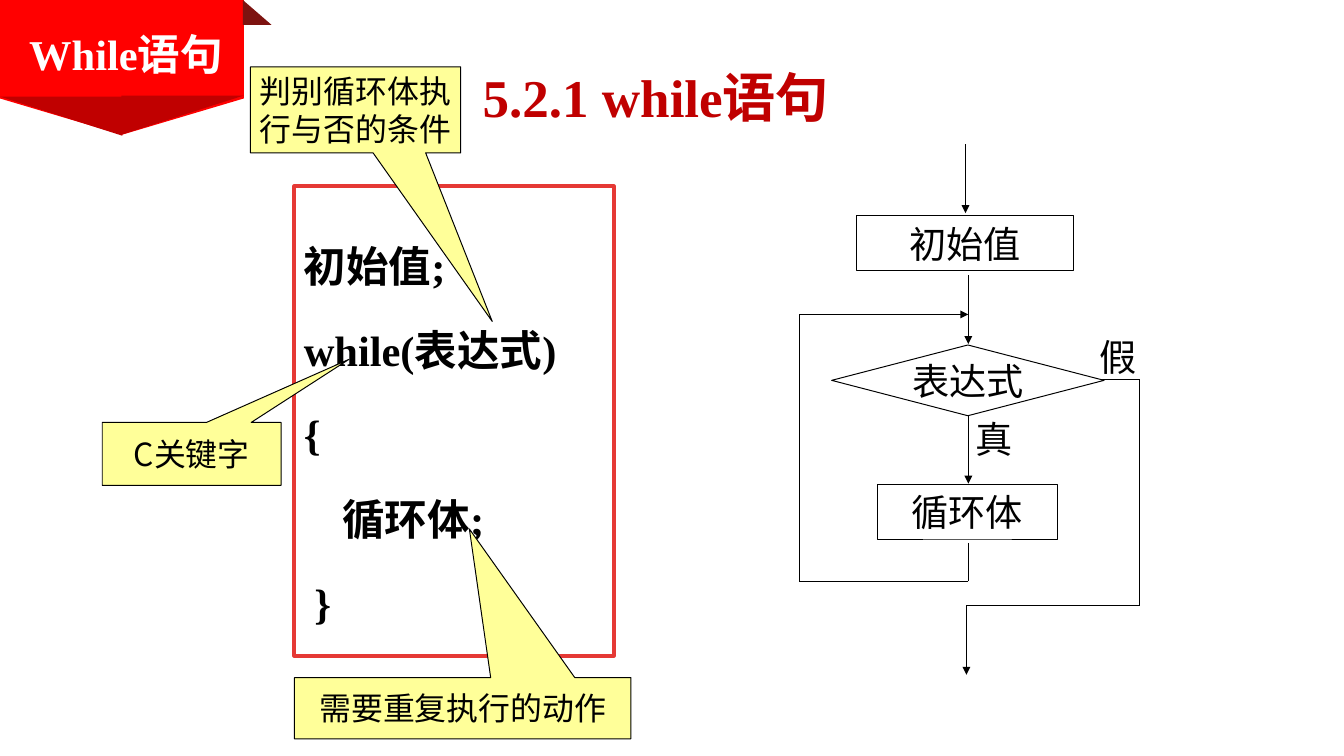
from lxml import etree
from pptx import Presentation
from pptx.dml.color import RGBColor
from pptx.enum import shapes, text
from pptx.oxml import ns
from pptx.util import Inches, Pt

BLACK = RGBColor(0x00, 0x00, 0x00)
WHITE = RGBColor(0xFF, 0xFF, 0xFF)
RED = RGBColor(0xFF, 0x00, 0x00)
DARK_RED = RGBColor(0xC0, 0x00, 0x00)
MAROON = RGBColor(0x7D, 0x13, 0x10)
FRAME_RED = RGBColor(0xE5, 0x39, 0x35)
YELLOW = RGBColor(0xFF, 0xFF, 0x99)
SANS = "Noto Sans CJK SC"
SERIF = "Times New Roman"
PRESET = shapes.MSO_SHAPE
MIDDLE = text.MSO_ANCHOR.MIDDLE
TOP = text.MSO_ANCHOR.TOP
LEFT = text.PP_ALIGN.LEFT
CENTER = text.PP_ALIGN.CENTER


def write(shape, words, size=28, font=SANS, color=BLACK, bold=False, align=CENTER,
          anchor=MIDDLE, wrap=True, insets=(0.1, 0.05, 0.1, 0.05),
          line_spacing=None, space_before=0):
    """Fill a shape with text, one paragraph for each line of words."""
    frame = shape.text_frame
    frame.word_wrap = wrap
    frame.vertical_anchor = anchor
    (frame.margin_left, frame.margin_top,
     frame.margin_right, frame.margin_bottom) = map(Inches, insets)
    for index, line in enumerate(words.split("\n")):
        paragraph = frame.add_paragraph() if index else frame.paragraphs[0]
        paragraph.alignment = align
        if line_spacing:
            paragraph.line_spacing = line_spacing
        if index and space_before:
            paragraph.space_before = Pt(space_before)
        run = paragraph.add_run()
        run.text = line
        run.font.size = Pt(size)
        run.font.bold = bold
        run.font.name = font
        run.font.color.rgb = color
        east_asian = etree.SubElement(run.font._element, ns.qn("a:ea"))
        east_asian.set("typeface", SANS)


class SlideBuilder:
    def __init__(self, slide, line_width=0.75):
        self.shapes = slide.shapes
        self.line_width = line_width

    def shape(self, preset, box, fill=None, line=None, width=None, adjust=(),
              rotation=0, flip_v=False):
        shape = self.shapes.add_shape(preset, *map(Inches, box))
        shape.shadow.inherit = False
        shape.rotation = rotation
        for index, value in enumerate(adjust):
            shape.adjustments[index] = value
        if fill is None:
            shape.fill.background()
        else:
            shape.fill.solid()
            shape.fill.fore_color.rgb = fill
        if line is None:
            shape.line.fill.background()
        else:
            shape.line.color.rgb = line
            shape.line.width = Pt(width or self.line_width)
        if flip_v:
            shape._element.spPr.xfrm.set("flipV", "1")
        return shape

    def label(self, words, box, **style):
        write(self.shapes.add_textbox(*map(Inches, box)), words, **style)

    def step(self, words, box, preset=PRESET.RECTANGLE, **style):
        write(self.shape(preset, box, WHITE, BLACK), words, **style)

    def callout(self, words, box, tip, **style):
        """Draw a note; tip is the pointer's offset from its centre in box sizes."""
        note = self.shape(PRESET.RECTANGULAR_CALLOUT, box, YELLOW, BLACK, adjust=tip)
        write(note, words, size=24, **style)

    def line(self, start, end, arrow=False):
        connector = self.shapes.add_connector(
            shapes.MSO_CONNECTOR.STRAIGHT, *map(Inches, (*start, *end)))
        connector.line.color.rgb = BLACK
        connector.line.width = Pt(self.line_width)
        if arrow:
            head = etree.SubElement(connector.line._get_or_add_ln(), ns.qn("a:tailEnd"))
            head.set("type", "triangle")
        etree.SubElement(connector._element.spPr, ns.qn("a:effectLst"))

    def route(self, *points):
        """Join points with straight lines, the last one ending in an arrowhead."""
        for index, (start, end) in enumerate(zip(points, points[1:]), 2):
            self.line(start, end, arrow=index == len(points))


def draw_ribbon(page):
    page.shape(PRESET.PENTAGON, (0.57, -0.57, 1.41, 2.55), RED, adjust=[0.269], rotation=90)
    page.shape(PRESET.RIGHT_TRIANGLE, (2.54, 0, 0.3, 0.26), MAROON)
    page.shape(PRESET.RIGHT_TRIANGLE, (0, 1.01, 1.28, 0.41), DARK_RED, rotation=180)
    page.shape(PRESET.RIGHT_TRIANGLE, (1.27, 1, 1.28, 0.41), DARK_RED, flip_v=True)
    page.label("While语句", (0.1, 0.24, 2.44, 0.64), size=32, font=SERIF,
               color=WHITE, bold=True, anchor=TOP)


def draw_flowchart(page):
    axis, loop_x, exit_x = 10.13, 8.36, 11.92
    page.route((10.1, 1.51), (10.1, 2.23))
    page.route((axis, 2.88), (axis, 3.6))
    page.route((axis, 4.35), (axis, 5.06))
    page.route((axis, 5.68), (axis, 6.08), (loop_x, 6.08), (loop_x, 3.29), (axis, 3.29))
    page.route((11.48, 3.97), (exit_x, 3.97), (exit_x, 6.34), (10.11, 6.34), (10.11, 7.06))
    page.step("初始值", (8.96, 2.26, 2.27, 0.57))
    page.step("表达式", (8.7, 3.61, 2.85, 0.74), PRESET.FLOWCHART_DECISION, wrap=False)
    page.step("循环体", (9.18, 5.07, 1.88, 0.57))
    page.label("假", (11.4, 3.45, 0.59, 0.57), wrap=False)
    page.label("真", (10, 4.3, 0.8, 0.57))


def draw_syntax(page):
    frame = page.shape(PRESET.RECTANGLE, (3.08, 1.95, 3.34, 4.91), line=FRAME_RED, width=3)
    write(frame, "初始值;\nwhile(表达式)\n{\n    循环体;\n }", size=32, font=SERIF, bold=True,
          align=LEFT, anchor=TOP, insets=(0.1, 0.29, 0.1, 0.21),
          line_spacing=1.5, space_before=6)
    page.callout("C关键字", (1.07, 4.42, 1.87, 0.66), (0.88, -1.5))
    page.callout("判别循环体执行与否的条件", (2.62, 0.7, 2.2, 0.9), (0.65, 2.46), anchor=TOP)
    page.callout("需要重复执行的动作", (3.08, 7.09, 3.52, 0.64), (0.02, -2.93))


def main():
    deck = Presentation()
    deck.slide_width, deck.slide_height = Inches(14.06), Inches(7.91)
    page = SlideBuilder(deck.slides.add_slide(deck.slide_layouts[6]))
    draw_ribbon(page)
    page.label("5.2.1 while语句", (4.55, 0.47, 4.62, 1.08), size=40, font=SERIF,
               color=DARK_RED, bold=True, insets=(0.11, 0.05, 0.11, 0.05))
    draw_flowchart(page)
    draw_syntax(page)
    deck.save("out.pptx")


if __name__ == "__main__":
    main()
